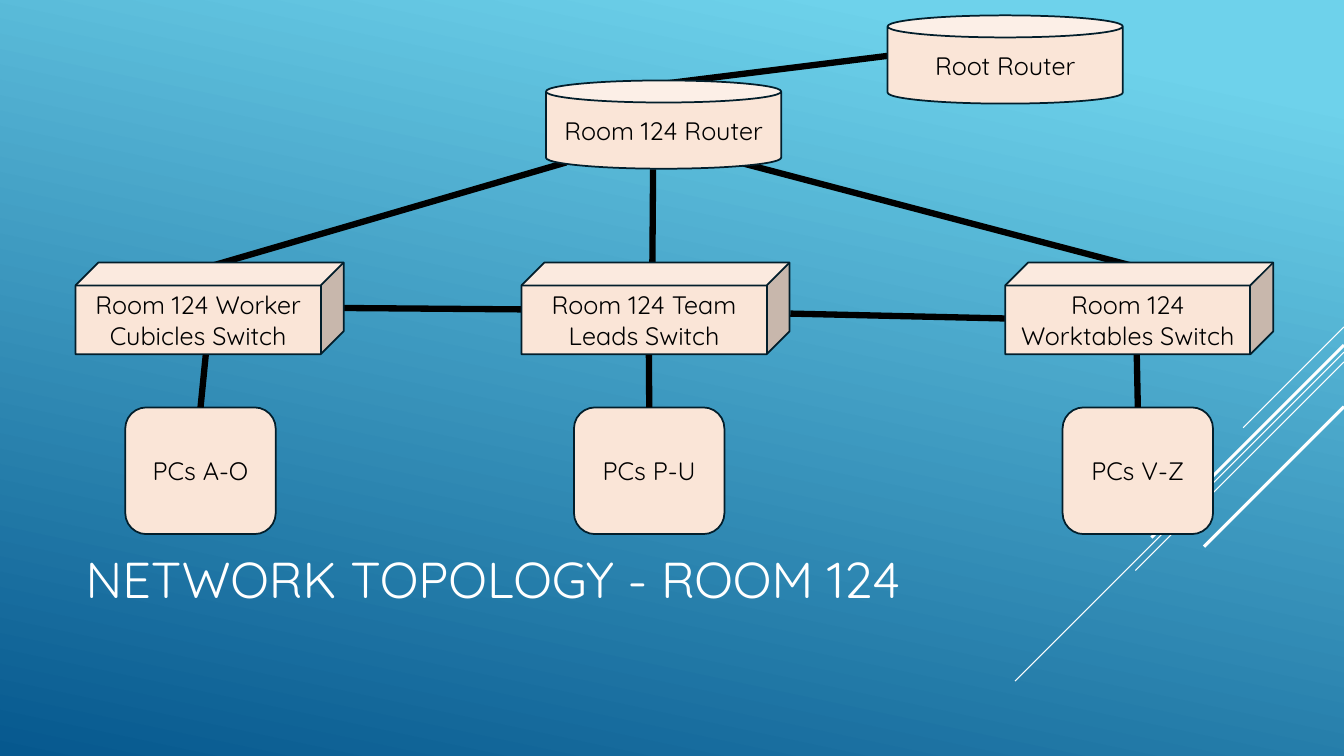
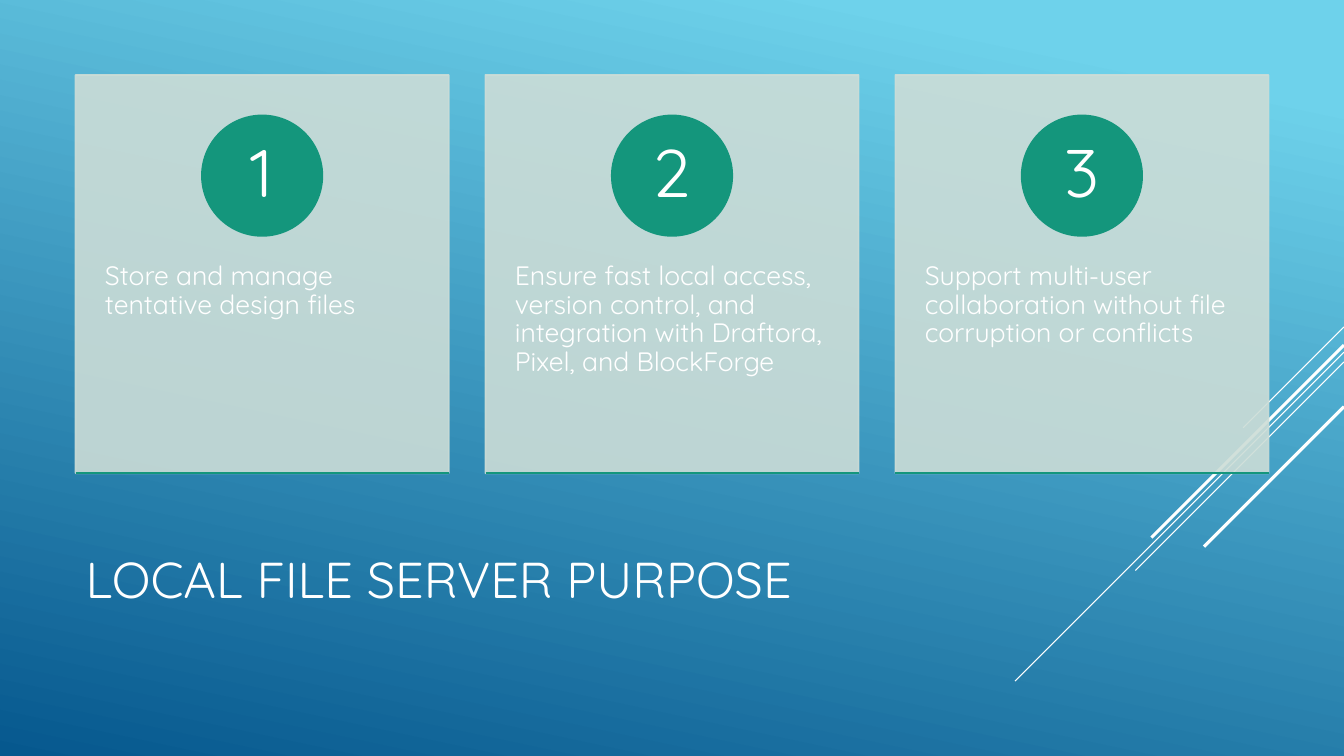
from lxml.etree import SubElement
from pptx import Presentation
from pptx.dml.color import RGBColor
from pptx.enum.shapes import MSO_CONNECTOR, MSO_SHAPE as KIND
from pptx.enum.text import MSO_ANCHOR as ANCHOR, PP_ALIGN as ALIGN
from pptx.oxml.ns import qn
from pptx.util import Pt

FONT = "Quicksand"
WHITE, BLACK = "FFFFFF", "000000"
SKY, DEEP_BLUE = "6ED2EB", "06588E"
PEACH, INK = "FAE5D7", "021E2B"
MIST, GREEN = "CCDDD7", "14967C"
WIDTH, HEIGHT = 960, 540
color = RGBColor.from_string


def add_line(page, start, end, stroke, weight):
    line = page.shapes.add_connector(
        MSO_CONNECTOR.STRAIGHT, *[Pt(value) for value in (*start, *end)])
    line.line.color.rgb = color(stroke)
    line.line.width = Pt(weight)
    SubElement(line._element.spPr, qn("a:effectLst"))
    return line


def add_box(page, kind, area, fill, outline, text, size, ink):
    """Add a filled shape with one centred run of text."""
    box = page.shapes.add_shape(kind, *[Pt(value) for value in area])
    box.shadow.inherit = False
    box.fill.solid()
    box.fill.fore_color.rgb = color(fill)
    box.line.color.rgb = color(outline)
    box.line.width = Pt(1.25)
    box.text_frame.word_wrap = True
    para = box.text_frame.paragraphs[0]
    para.alignment = ALIGN.CENTER
    span = para.add_run()
    span.text = text
    span.font.name = FONT
    span.font.size = Pt(size)
    span.font.color.rgb = color(ink)
    return box


deck = Presentation()
deck.slide_width, deck.slide_height = Pt(WIDTH), Pt(HEIGHT)

# Shared background and title place
backdrop = deck.slide_master.background.fill
backdrop.gradient()
backdrop.gradient_angle = 258
for stop, position, shade in zip(backdrop.gradient_stops, (0.1, 1), (SKY, DEEP_BLUE)):
    stop.position = position
    stop.color.rgb = color(shade)

layout = deck.slide_layouts[5]
title_place = layout.placeholders[0]
title_place.left, title_place.top = Pt(54), Pt(353.5)
title_place.width, title_place.height = Pt(672), Pt(119)
title_place.text_frame.vertical_anchor = ANCHOR.MIDDLE

pages = []
for heading in ("NETWORK TOPOLOGY - ROOM 124", "LOCAL FILE SERVER PURPOSE"):
    page = deck.slides.add_slide(layout)
    para = page.shapes.title.text_frame.paragraphs[0]
    para.alignment = ALIGN.LEFT
    span = para.add_run()
    span.text = heading
    span.font.name = FONT
    span.font.size = Pt(36)
    span.font.color.rgb = color(WHITE)
    pages.append(page)
topology, purpose = pages

# Diagonal rays at 45 degrees, moved to the layout: top, run, weight
rays = [(233.5, 72, 0.75), (251.5, 235, 0.75), (258.5, 149, 0.75),
        (246.5, 137.5, 2.25), (290.5, 100, 2.25)]
for number, (top, run, weight) in enumerate(rays):
    ray = add_line(topology, (WIDTH, top), (WIDTH - run, top + run), WHITE, weight)
    ray._element.nvCxnSpPr.cNvPr.id = 20 + number
    layout.shapes._spTree.append(ray._element)

# Network topology: links first, so that the devices cover their ends
links = [
    ((404.5, 116), (144, 192)),
    ((528, 116), (817, 192)),
    ((641.5, 39), (468.5, 60.5)),
    ((466.5, 121), (466, 188)),
    ((245.5, 220), (373, 221)),
    ((564.5, 224), (718, 227.5)),
]
for start, end in links:
    add_line(topology, start, end, BLACK, 4.5)

for left, top, name in [(634, 11, "Root Router"), (390, 57.5, "Room 124 Router")]:
    add_box(topology, KIND.CAN, (left, top, 168, 63), PEACH, INK, name, 18, BLACK)

# Switch left and name, link start, PC group left and name
branches = [
    (54, "Room 124 Worker Cubicles Switch", 147, 89.5, "PCs A-O"),
    (372.5, "Room 124 Team Leads Switch", 463.5, 410, "PCs P-U"),
    (718, "Room 124 Worktables Switch", 812, 759, "PCs V-Z"),
]
for switch_left, switch, link_left, group_left, group in branches:
    add_box(topology, KIND.CUBE, (switch_left, 187.5, 191.5, 65.5),
            PEACH, INK, switch, 18, BLACK)
    computers = add_box(topology, KIND.FLOWCHART_ALTERNATE_PROCESS,
                        (group_left, 291, 107.5, 90.5), PEACH, INK, group, 18, BLACK)
    link = add_line(topology, (link_left, 253.5), (link_left, 291), BLACK, 4.5)
    link.end_connect(computers, 0)

# File server purpose: three numbered cards
card_width, card_height, card_top, pitch, disc = 266.5, 284.5, 53.5, 292.8, 86
goals = [
    "Store and manage tentative design files",
    "Ensure fast local access, version control, and integration with "
    "Draftora, Pixel, and BlockForge",
    "Support multi-user collaboration without file corruption or conflicts",
]
for number, goal in enumerate(goals):
    left = 54 + number * pitch
    bottom = card_top + card_height
    card = add_box(purpose, KIND.RECTANGLE, (left, card_top, card_width, card_height),
                   MIST, MIST, goal, 19, WHITE)
    for tint in card._element.spPr.iter(qn("a:srgbClr")):
        SubElement(tint, qn("a:alpha"), val="90000")
    frame = card.text_frame
    frame.vertical_anchor = ANCHOR.TOP
    frame.margin_left = frame.margin_right = Pt(21)
    frame.margin_top = Pt(134)
    frame.paragraphs[0].alignment = ALIGN.LEFT
    frame.paragraphs[0].line_spacing = 0.9

    badge = add_box(purpose, KIND.OVAL,
                    (left + (card_width - disc) / 2, 82.5, disc, disc),
                    GREEN, GREEN, str(number + 1), 48, WHITE)
    badge.text_frame.margin_top = badge.text_frame.margin_bottom = Pt(1)
    badge.text_frame.paragraphs[0].line_spacing = 0.9
    add_line(purpose, (left, bottom), (left + card_width, bottom), GREEN, 1.25)

deck.save("out.pptx")
